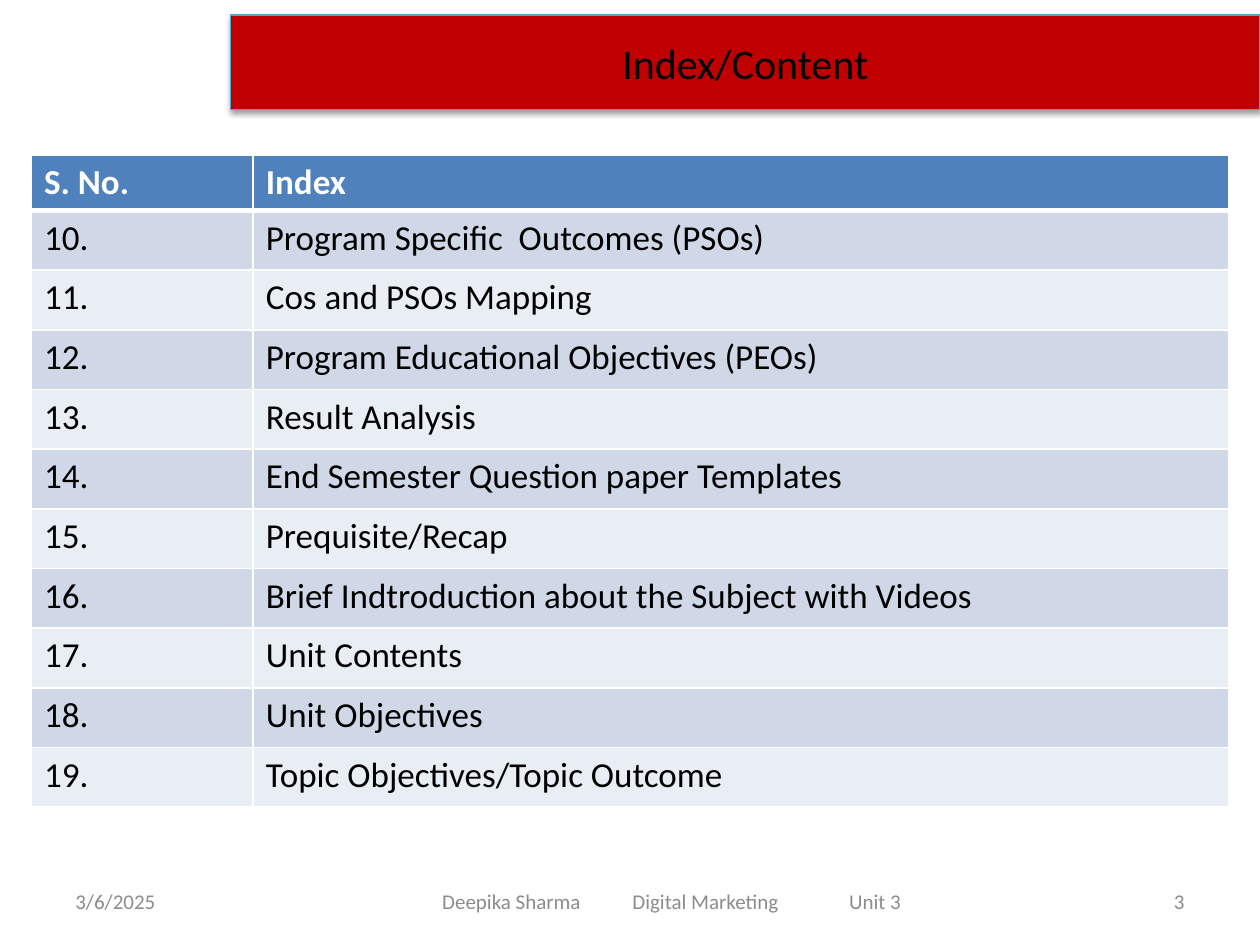
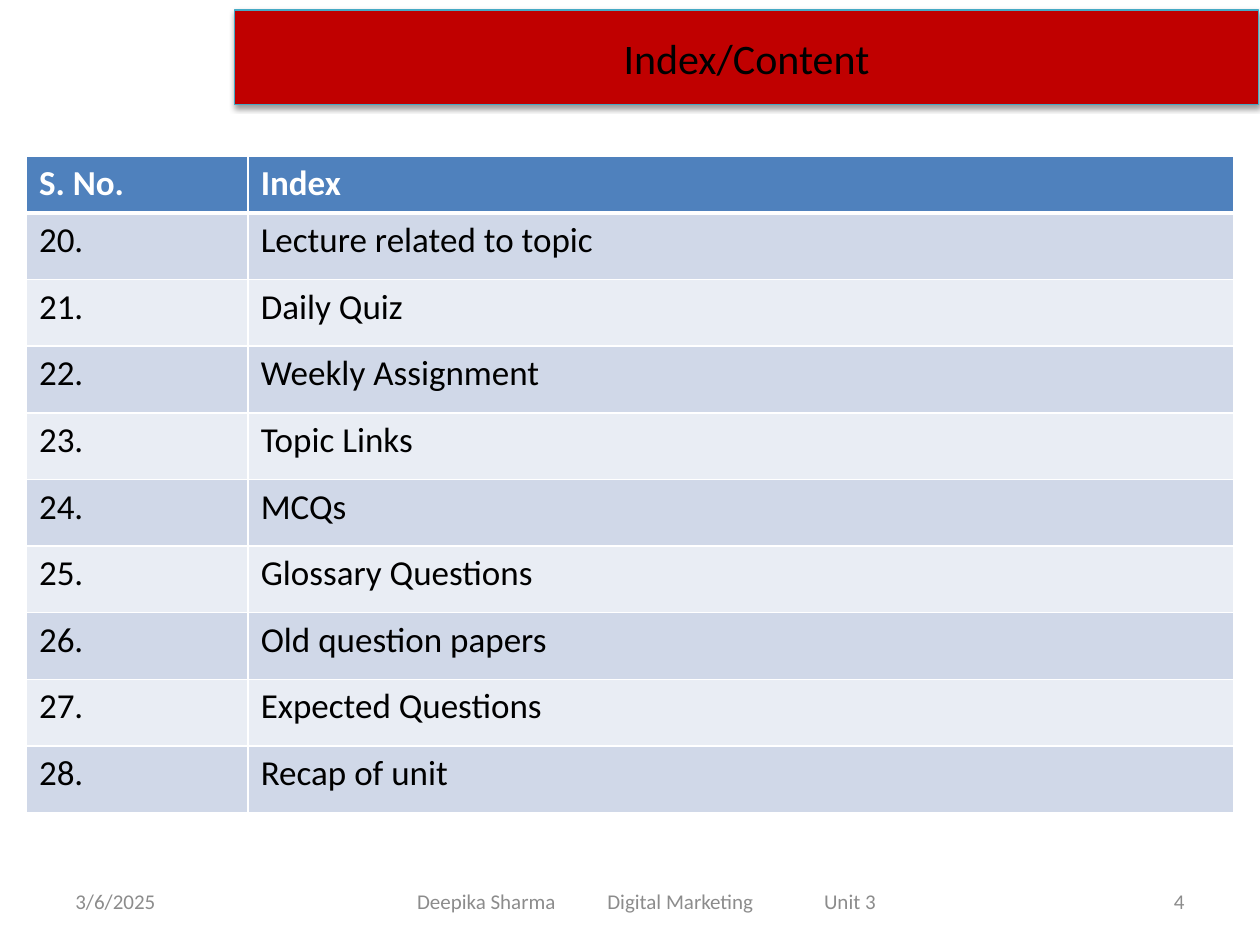
"""Build two index slides with a title band, a numbered table and a footer."""
from dataclasses import dataclass

from lxml import etree
from pptx import Presentation
from pptx import util as u
from pptx.dml.color import RGBColor
from pptx.enum import shapes, text
from pptx.oxml import parse_xml
from pptx.oxml.ns import nsdecls, qn

COLORS = {
    "band": "C00000",
    "band_line": "46AAC5",
    "header": "4F81BD",
    "odd_row": "D0D8E8",
    "even_row": "E9EDF4",
    "white": "FFFFFF",
    "black": "000000",
    "footer": "8C8C8C",
}
FONT = "Calibri"
TITLE = "Index/Content"
HEADINGS = ("S. No.", "Index")
NUMBER_WIDTH = 1.76
DATE = "3/6/2025"
FOOTER = "Deepika Sharma\tDigital Marketing\tUnit 3"
FOOTER_WIDTH = 3.64
FOOTER_TABS = (1.51, 3.23)
FOOTER_TOP, FOOTER_HEIGHT = 6.95, 0.4
LEFT, CENTER, RIGHT = text.PP_ALIGN.LEFT, text.PP_ALIGN.CENTER, text.PP_ALIGN.RIGHT


@dataclass(frozen=True)
class Box:
    left: float
    top: float
    width: float
    height: float

    def lengths(self) -> tuple:
        return tuple(u.Inches(v) for v in (self.left, self.top, self.width, self.height))


@dataclass(frozen=True)
class IndexSlide:
    page: int
    first_number: int
    topics: tuple[str, ...]
    band: Box
    table: Box
    header_height: float
    footer_left: float
    footer_width: float


SLIDES = (
    IndexSlide(
        3, 10,
        (
            "Program Specific  Outcomes (PSOs)",
            "Cos and PSOs Mapping",
            "Program Educational Objectives (PEOs)",
            "Result Analysis",
            "End Semester Question paper Templates",
            "Prequisite/Recap",
            "Brief Indtroduction about the Subject with Videos",
            "Unit Contents",
            "Unit Objectives",
            "Topic Objectives/Topic Outcome",
        ),
        Box(1.83, 0.12, 8.17, 0.75), Box(0.25, 1.23, 9.5, 5.14), 0.4, 1.83, 7,
    ),
    IndexSlide(
        4, 20,
        (
            "Lecture related to topic",
            "Daily Quiz",
            "Weekly Assignment",
            "Topic Links",
            "MCQs",
            "Glossary Questions",
            "Old question papers",
            "Expected Questions",
            "Recap of unit",
        ),
        Box(1.86, 0.08, 8.13, 0.75), Box(0.21, 1.24, 9.58, 5.21), 0.45, 1.67, 6.92,
    ),
)


def rgb(name: str) -> RGBColor:
    return RGBColor.from_string(COLORS[name])


def style(p, size: float, color: str, align=LEFT, bold: bool = False) -> None:
    p.alignment = align
    p.font.name = FONT
    p.font.size = u.Pt(size)
    p.font.bold = bold
    p.font.color.rgb = rgb(color)


def add_band(s, box: Box) -> None:
    sp = s.shapes.add_shape(shapes.MSO_SHAPE.RECTANGLE, *box.lengths())
    sp.shadow.inherit = False
    sp.fill.solid()
    sp.fill.fore_color.rgb = rgb("band")
    sp.line.color.rgb = rgb("band_line")
    sp.line.width = u.Pt(0.75)
    effects = sp._element.spPr.find(qn("a:effectLst"))
    effects.append(parse_xml(
        f'<a:outerShdw {nsdecls("a")} blurRad="{u.Pt(3.1)}" dist="{u.Pt(1.6)}" '
        f'dir="5400000" rotWithShape="0"><a:srgbClr val="{COLORS["black"]}">'
        '<a:alpha val="38000"/></a:srgbClr></a:outerShdw>'))
    tf = sp.text_frame
    tf.vertical_anchor = text.MSO_ANCHOR.MIDDLE
    tf.text = TITLE
    style(tf.paragraphs[0], 24, "black", CENTER)


def add_borders(cell, top: float, bottom: float) -> None:
    tc_pr = cell._tc.get_or_add_tcPr()
    for side, width in (("L", 1), ("R", 1), ("T", top), ("B", bottom)):
        tc_pr.append(parse_xml(
            f'<a:ln{side} {nsdecls("a")} w="{u.Pt(width)}"><a:solidFill>'
            f'<a:srgbClr val="{COLORS["white"]}"/></a:solidFill></a:ln{side}>'))


def add_index(s, item: IndexSlide) -> None:
    rows = [HEADINGS]
    rows += [(f"{n}.", topic) for n, topic in enumerate(item.topics, item.first_number)]
    table = s.shapes.add_table(len(rows), 2, *item.table.lengths()).table
    table.columns[0].width = u.Inches(NUMBER_WIDTH)
    table.columns[1].width = u.Inches(item.table.width - NUMBER_WIDTH)
    row_height = (item.table.height - item.header_height) / len(item.topics)
    for i, values in enumerate(rows):
        header = i == 0
        table.rows[i].height = u.Inches(item.header_height if header else row_height)
        fill = "header" if header else "odd_row" if i % 2 else "even_row"
        for cell, value in zip(table.rows[i].cells, values):
            add_borders(cell, top=3 if i == 1 else 1, bottom=3 if header else 1)
            cell.fill.solid()
            cell.fill.fore_color.rgb = rgb(fill)
            cell.text = value
            style(cell.text_frame.paragraphs[0], 20, "white" if header else "black", bold=header)


def add_footer(s, value: str, left: float, width: float, align=LEFT,
               inset: float = 0.1, tabs: tuple[float, ...] = ()) -> None:
    box = Box(left, FOOTER_TOP, width, FOOTER_HEIGHT)
    tf = s.shapes.add_textbox(*box.lengths()).text_frame
    tf.word_wrap = True
    tf.margin_left = u.Inches(inset)
    tf.vertical_anchor = text.MSO_ANCHOR.MIDDLE
    p = tf.paragraphs[0]
    p.text = value
    if tabs:
        tab_list = etree.SubElement(p._p.get_or_add_pPr(), qn("a:tabLst"))
        for tab in tabs:
            etree.SubElement(tab_list, qn("a:tab"), pos=str(u.Inches(tab)), algn="l")
    style(p, 12, "footer", align)


def add_slide(prs, item: IndexSlide) -> None:
    s = prs.slides.add_slide(prs.slide_layouts[6])
    add_index(s, item)
    add_footer(s, str(item.page), 7.17, 2.33, RIGHT)
    add_band(s, item.band)
    add_footer(s, DATE, 0.5, 2.33)
    add_footer(s, FOOTER, item.footer_left, item.footer_width,
               inset=(item.footer_width - FOOTER_WIDTH) / 2, tabs=FOOTER_TABS)


def main() -> None:
    prs = Presentation()
    prs.slide_width, prs.slide_height = u.Inches(10), u.Inches(7.5)
    for item in SLIDES:
        add_slide(prs, item)
    prs.save("out.pptx")


if __name__ == "__main__":
    main()
